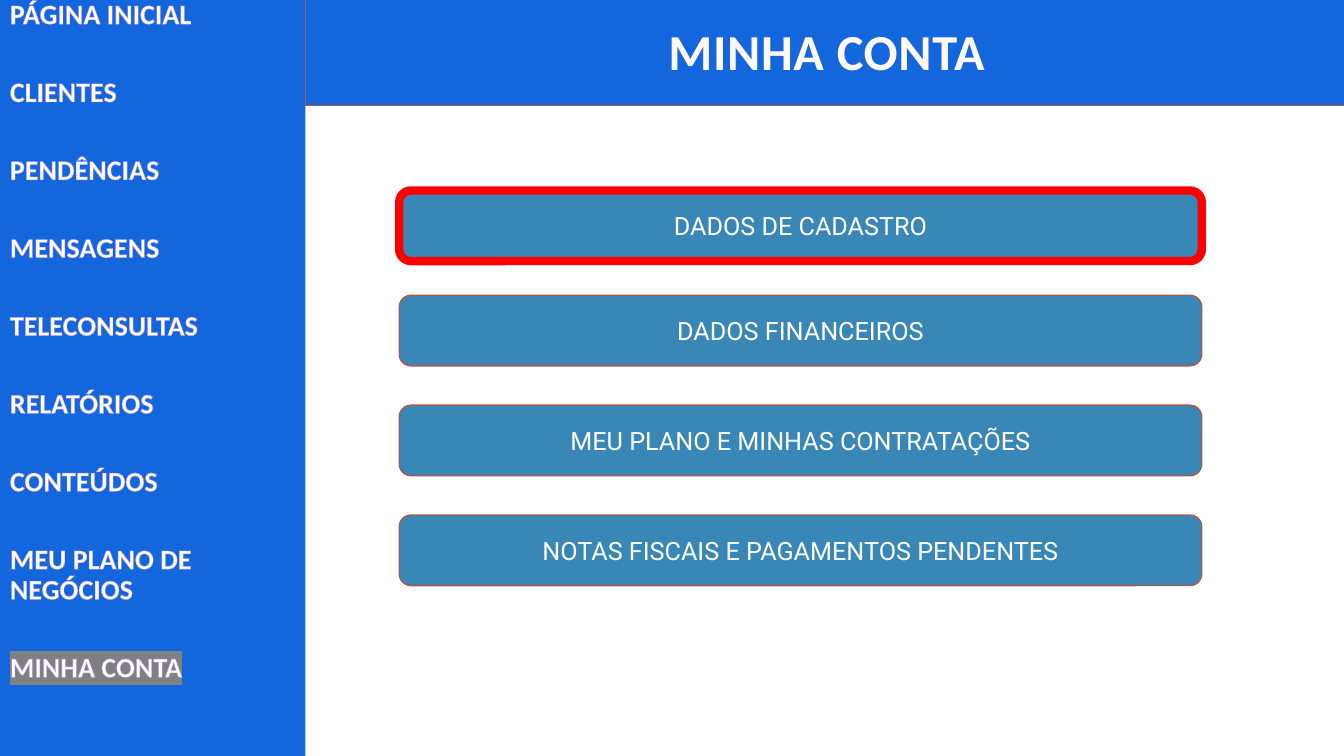
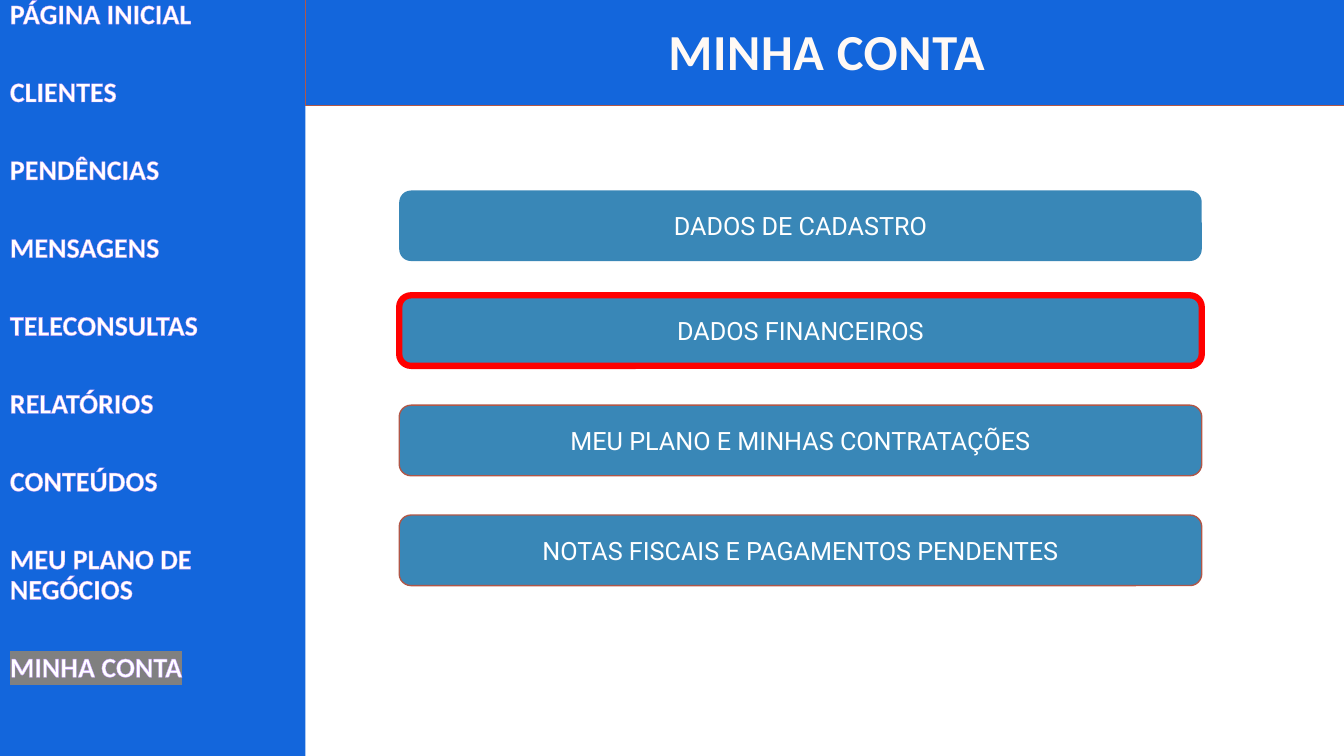
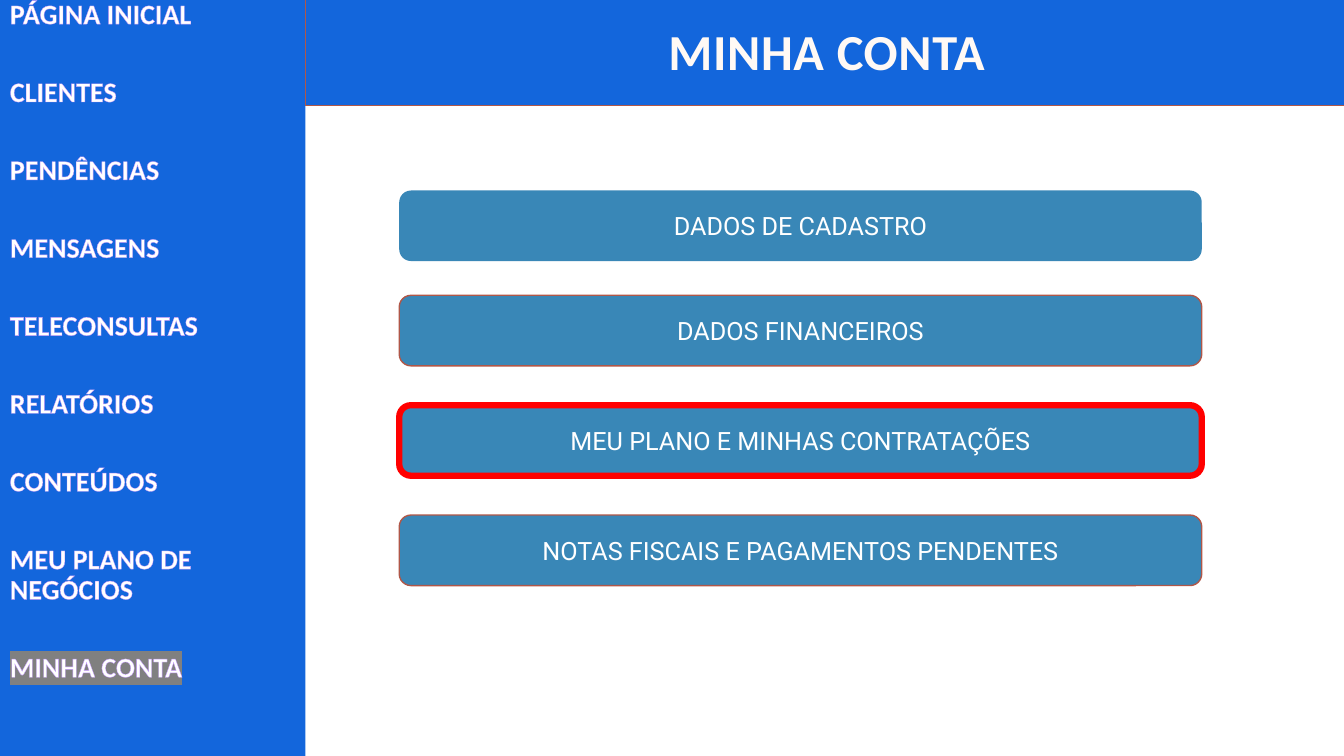
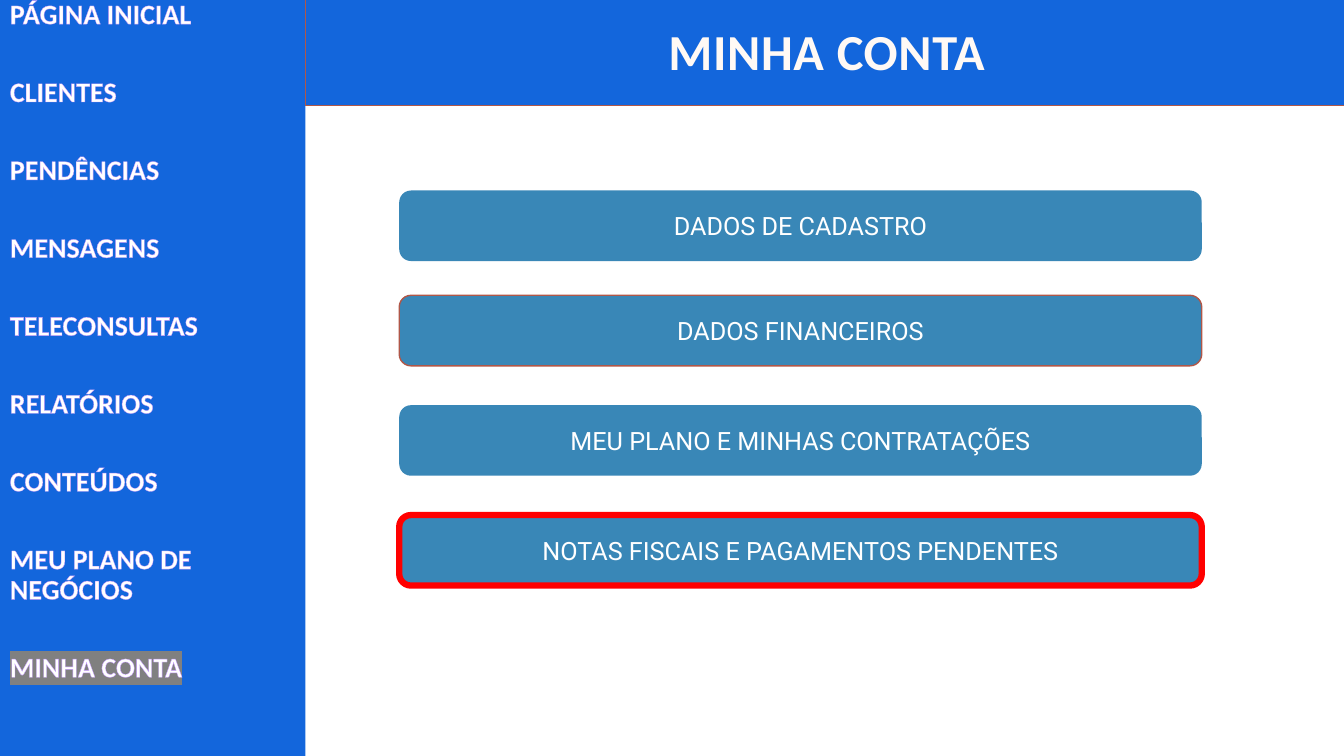
"""Build four account menu slides, each marking one button."""
from lxml import etree
from pptx import Presentation
from pptx.dml.color import RGBColor
from pptx.enum.shapes import MSO_SHAPE
from pptx.enum.text import MSO_ANCHOR, PP_ALIGN
from pptx.oxml.ns import qn
from pptx.util import Inches, Pt

RECT, ROUND = MSO_SHAPE.RECTANGLE, MSO_SHAPE.ROUNDED_RECTANGLE
TOP, MIDDLE = MSO_ANCHOR.TOP, MSO_ANCHOR.MIDDLE
LEFT, CENTER = PP_ALIGN.LEFT, PP_ALIGN.CENTER

COLORS = {
    "band": "1366DC", "button": "3987B7", "rust": "B05748", "red": "FF0000",
    "white": "FFFFFF", "cream": "FFF9F5", "lilac": "C097F8", "gray": "808080",
}
TITLE = "MINHA CONTA"
MENU = [
    "PÁGINA INICIAL", "CLIENTES", "PENDÊNCIAS", "MENSAGENS", "TELECONSULTAS",
    "RELATÓRIOS", "CONTEÚDOS", "MEU PLANO DE NEGÓCIOS", "MINHA CONTA",
]
BUTTONS = [
    ("DADOS DE CADASTRO", 1.89),
    ("DADOS FINANCEIROS", 2.93),
    ("MEU PLANO E MINHAS CONTRATAÇÕES", 4.02),
    ("NOTAS FISCAIS E PAGAMENTOS PENDENTES", 5.11),
]
THIN = ("rust", 1)
BOLD = ("red", 4.5)
SLIDES = [
    [("red", 6), THIN, THIN, THIN],
    [None, BOLD, THIN, THIN],
    [None, THIN, BOLD, THIN],
    [None, THIN, None, BOLD],
]


def rgb(name):
    return RGBColor.from_string(COLORS[name])


def tint(parent, name):
    etree.SubElement(parent, qn("a:srgbClr"), val=COLORS[name])


def add_box(slide, kind, spot, fill, line=None):
    box = slide.shapes.add_shape(kind, *map(Inches, spot))
    box.shadow.inherit = False
    box.fill.solid()
    box.fill.fore_color.rgb = rgb(fill)
    if line:
        box.line.color.rgb = rgb(line[0])
        box.line.width = Pt(line[1])
    else:
        box.line.fill.background()
    return box


def add_text(box, lines, size, font="Calibri", color="white", bold=False,
             align=CENTER, anchor=MIDDLE, space=None, track=None,
             edge=None, mark=None):
    frame = box.text_frame
    frame.word_wrap = True
    frame.vertical_anchor = anchor
    for i, line in enumerate(lines):
        para = frame.add_paragraph() if i else frame.paragraphs[0]
        para.alignment = align
        if space:
            para.line_spacing = space[0]
            para.space_before, para.space_after = map(Pt, space[1:])
        run = para.add_run()
        run.text = line
        run.font.size, run.font.name, run.font.bold = Pt(size), font, bold
        run.font.color.rgb = rgb(color)
        props = run.font._element
        if track:
            props.set("spc", str(int(track * 100)))
        if line == mark:
            light = etree.Element(qn("a:highlight"))
            tint(light, "gray")
            props.find(qn("a:solidFill")).addnext(light)
        if edge:
            rim = etree.Element(qn("a:ln"), w=str(Pt(edge[1])))
            tint(etree.SubElement(rim, qn("a:solidFill")), edge[0])
            props.insert(0, rim)


def add_frame(slide):
    side = add_box(slide, RECT, (0, -0.05, 3.03, 7.55), "band")
    add_text(side, MENU, 20, bold=True, align=LEFT, anchor=TOP,
             space=(0.9, 10, 24), edge=("lilac", 0.8), mark=TITLE)
    head = add_box(slide, RECT, (3.03, -0.05, 10.34, 1.1), "band", THIN)
    add_text(head, [TITLE], 36, color="cream", bold=True, track=0.5)


def main():
    deck = Presentation()
    deck.slide_width, deck.slide_height = Inches(13.33), Inches(7.5)
    for lines in SLIDES:
        slide = deck.slides.add_slide(deck.slide_layouts[6])
        add_frame(slide)
        for (label, top), line in zip(BUTTONS, lines):
            button = add_box(slide, ROUND, (3.96, top, 7.96, 0.7), "button", line)
            add_text(button, [label], 18, font="Roboto")
    deck.save("out.pptx")


if __name__ == "__main__":
    main()
